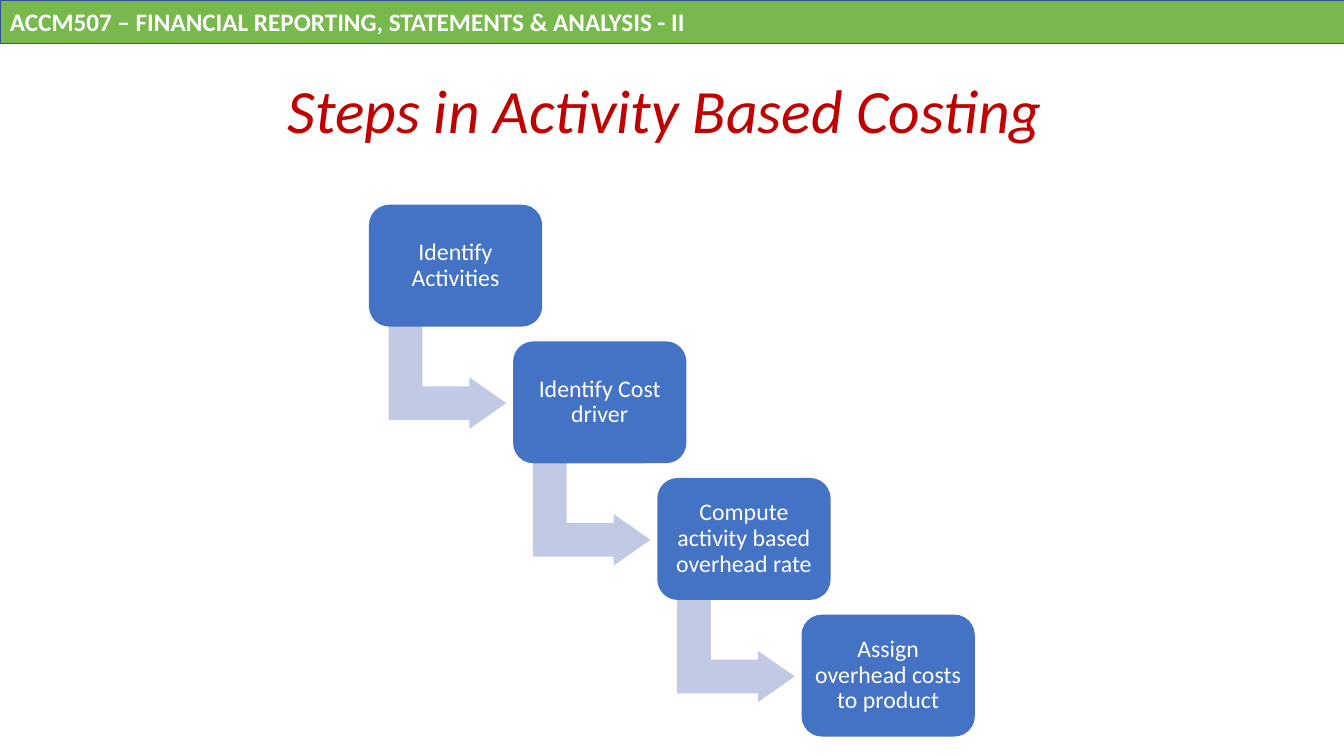
from pptx import Presentation
from pptx.dml.color import RGBColor
from pptx.enum.shapes import MSO_SHAPE
from pptx.enum.text import MSO_ANCHOR, PP_ALIGN
from pptx.util import Pt

STEPS = [
    "Identify Activities",
    "Identify Cost driver",
    "Compute activity based overhead rate",
    "Assign overhead costs to product",
]
LEFT, TOP = 263.5, 146.2
WIDE, HIGH = 123.8, 87.1
STEP_X, STEP_Y = 103, 97.6


def color(code):
    return RGBColor.from_string(code)


class Deck:
    font = "Calibri"
    white, green, navy = "FFFFFF", "77B94C", "325491"
    red, blue, pale = "C00000", "4472C4", "C1C9E4"

    def __init__(self):
        self.prs = Presentation()
        self.prs.slide_width, self.prs.slide_height = Pt(960), Pt(540)
        self.slide = self.prs.slides.add_slide(self.prs.slide_layouts[6])

    def shape(self, kind, area, fill, line=None, adjust=()):
        item = self.slide.shapes.add_shape(kind, *map(Pt, area))
        item.shadow.inherit = False
        item.fill.solid()
        item.fill.fore_color.rgb = color(fill)
        if line:
            item.line.color.rgb = color(line)
            item.line.width = Pt(1)
        else:
            item.line.fill.background()
        for spot, value in enumerate(adjust):
            item.adjustments[spot] = value
        return item

    def label(self, item, text, size, ink, align=PP_ALIGN.CENTER,
              space=0.9, inset=(7.2, 3.6), bold=False, italic=False):
        frame = item.text_frame
        frame.word_wrap = True
        frame.vertical_anchor = MSO_ANCHOR.MIDDLE
        frame.margin_left = frame.margin_right = Pt(inset[0])
        frame.margin_top = frame.margin_bottom = Pt(inset[1])
        para = frame.paragraphs[0]
        para.alignment, para.line_spacing = align, space
        run = para.add_run()
        run.text = text
        run.font.name, run.font.size = self.font, Pt(size)
        run.font.bold, run.font.italic = bold, italic
        run.font.color.rgb = color(ink)

    def header(self, text):
        bar = self.shape(MSO_SHAPE.RECTANGLE, (0, 0, 961, 31), self.green, self.navy)
        self.label(bar, text, 18, self.white, PP_ALIGN.LEFT, 1, bold=True)

    def title(self, text):
        box = self.slide.shapes.add_textbox(Pt(66), Pt(28.8), Pt(828), Pt(104.4))
        self.label(box, text, 44, self.red, italic=True)

    def arrow(self, left, top):
        """Bent arrow leading from the box at left, top to the next one."""
        item = self.shape(MSO_SHAPE.BENT_UP_ARROW, (left + 19.4, top + 81.4, 73.5, 84),
                          self.pale, adjust=(0.328, 0.25, 0.358))
        item.rotation = 90

    def box(self, left, top, text):
        item = self.shape(MSO_SHAPE.ROUNDED_RECTANGLE, (left, top, WIDE, HIGH),
                          self.blue, adjust=(0.167,))
        self.label(item, text, 17, self.white, inset=(5, 5))


def main():
    deck = Deck()
    deck.header("ACCM507 – FINANCIAL REPORTING, STATEMENTS & ANALYSIS - II")
    deck.title("Steps in Activity Based Costing ")
    for rank, text in enumerate(STEPS):
        left, top = LEFT + rank * STEP_X, TOP + rank * STEP_Y
        if rank < len(STEPS) - 1:
            deck.arrow(left, top)
        deck.box(left, top, text)
    deck.prs.save("out.pptx")


if __name__ == "__main__":
    main()
